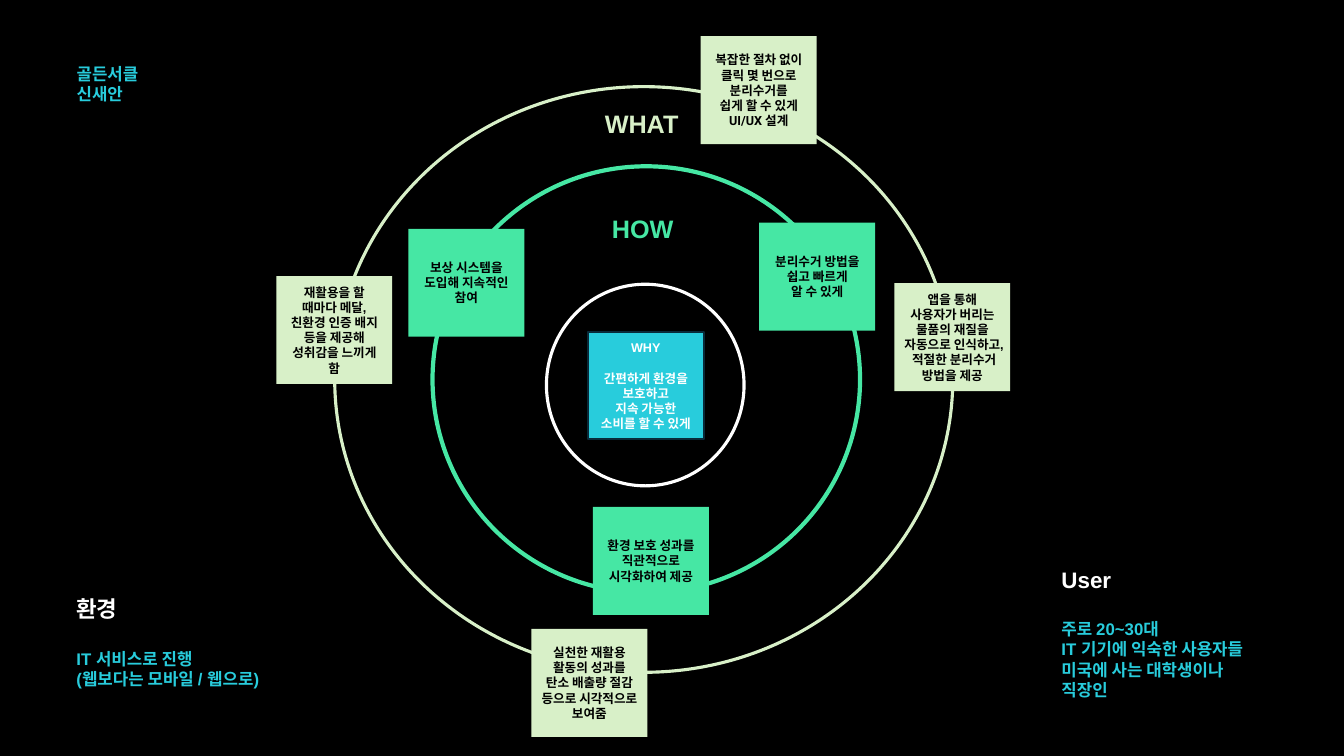
from pptx import Presentation
from pptx.dml.color import RGBColor
from pptx.enum.shapes import MSO_SHAPE
from pptx.enum.text import MSO_ANCHOR, MSO_AUTO_SIZE, PP_ALIGN
from pptx.util import Inches, Pt

OVAL, RECTANGLE = MSO_SHAPE.OVAL, MSO_SHAPE.RECTANGLE
TOP, MIDDLE = MSO_ANCHOR.TOP, MSO_ANCHOR.MIDDLE
LEFT, CENTER = PP_ALIGN.LEFT, PP_ALIGN.CENTER
NO_AUTO_SIZE = MSO_AUTO_SIZE.NONE
TITLE_ONLY = 5
NOTE_SIZE = (1.15, 1.07)

COLORS = {
    "black": "000000",
    "white": "FFFFFF",
    "cyan": "28CCDC",
    "navy": "092A39",
    "green": "46E7A4",
    "pale": "D8F0C8",
}

RINGS = [
    (3.32, 0.86, 6.13, 5.81, "pale", 2.25),
    (4.29, 1.65, 4.24, 4.23, "green", 3),
    (5.42, 2.82, 1.96, 2, "white", 2.25),
]

HOW_NOTES = [
    (7.53, 2.21, ["분리수거 방법을 쉽고 빠르게", "알 수 있게"]),
    (5.88, 5.03, ["환경 보호 성과를 직관적으로 시각화하여 제공"]),
    (4.05, 2.27, ["보상 시스템을 도입해 지속적인 참여"]),
]

WHAT_NOTES = [
    (2.74, 2.74, ["재활용을 할 때마다 메달, 친환경 인증 배지 등을 제공해 성취감을 느끼게 함"], "Arial"),
    (5.27, 6.24, ["실천한 재활용 활동의 성과를", "탄소 배출량 절감 등으로 시각적으로 보여줌"], "Arial"),
    (8.87, 2.81, ["앱을 통해 사용자가 버리는 물품의 재질을 자동으로 인식하고, 적절한 분리수거 방법을 제공"], "Arial"),
    (6.95, 0.36, ["복잡한 절차 없이 클릭 몇 번으로 분리수거를", "쉽게 할 수 있게 UI/UX 설계"], "Roboto"),
]


def color(name):
    return RGBColor.from_string(COLORS[name])


def write(shape, lines, size=12, ink="cyan", font="Arial", align=LEFT, anchor=TOP,
          head_size=None, head_ink=None, head_gap=0):
    """Fill a shape with bold lines; the head_ options set the first line apart."""
    frame = shape.text_frame
    frame.word_wrap = True
    frame.auto_size = NO_AUTO_SIZE
    frame.vertical_anchor = anchor
    for index, line in enumerate(lines):
        para = frame.add_paragraph() if index else frame.paragraphs[0]
        para.alignment = align
        para.line_spacing = 1.0
        para.space_before = Pt(head_gap if index == 1 else 0)
        span = para.add_run()
        span.text = line
        span.font.name = font
        span.font.bold = True
        span.font.size = Pt(size if index else head_size or size)
        span.font.color.rgb = color(ink if index else head_ink or ink)


def add_outline(page, kind, left, top, width, height, fill=None, line=None, weight=1):
    shape = page.shapes.add_shape(kind, Inches(left), Inches(top), Inches(width), Inches(height))
    shape.shadow.inherit = False
    if fill:
        shape.fill.solid()
        shape.fill.fore_color.rgb = color(fill)
    else:
        shape.fill.background()
    if line:
        shape.line.color.rgb = color(line)
        shape.line.width = Pt(weight)
    else:
        shape.line.fill.background()
    return shape


def add_note(page, left, top, lines, fill, ink="black", font="Arial", head_gap=0, **border):
    note = add_outline(page, RECTANGLE, left, top, *NOTE_SIZE, fill=fill, **border)
    write(note, lines, size=9, ink=ink, font=font, align=CENTER, anchor=MIDDLE, head_gap=head_gap)


def add_text(page, left, top, width, height, lines, **style):
    box = page.shapes.add_textbox(Inches(left), Inches(top), Inches(width), Inches(height))
    write(box, lines, **style)


def set_title(page, left, top, width, height, lines):
    title = page.shapes.title
    title.left, title.top = Inches(left), Inches(top)
    title.width, title.height = Inches(width), Inches(height)
    write(title, lines)


def main():
    deck = Presentation()
    deck.slide_width, deck.slide_height = Inches(13.33), Inches(7.5)
    page = deck.slides.add_slide(deck.slide_layouts[TITLE_ONLY])
    page.background.fill.solid()
    page.background.fill.fore_color.rgb = color("black")

    set_title(page, 0.66, 0.58, 2.05, 0.5, ["골든서클", "신새안"])

    for left, top, width, height, line, weight in RINGS:
        add_outline(page, OVAL, left, top, width, height, line=line, weight=weight)

    add_note(page, 5.83, 3.29, ["WHY", "간편하게 환경을 보호하고", "지속 가능한 소비를 할 수 있게"],
             "cyan", ink="white", head_gap=10.8, line="navy", weight=1.5)
    for left, top, lines in HOW_NOTES:
        add_note(page, left, top, lines, "green")
    for left, top, lines, font in WHAT_NOTES:
        add_note(page, left, top, lines, "pale", font=font)

    heading = {"head_size": 16, "head_ink": "white", "head_gap": 18.4}
    add_text(page, 10.43, 5.57, 2.24, 1.51,
             ["User", "주로 20~30대", "IT 기기에 익숙한 사용자들", "미국에 사는 대학생이나 직장인"], **heading)
    add_text(page, 0.66, 5.86, 3.43, 1.3,
             ["환경", "IT 서비스로 진행", "(웹보다는 모바일 / 웹으로)"], **heading)

    add_text(page, 5.97, 2.07, 0.95, 0.4, ["HOW"], size=18, ink="green")
    add_text(page, 5.9, 1.03, 0.95, 0.4, ["WHAT"], size=18, ink="pale")

    deck.save("out.pptx")


if __name__ == "__main__":
    main()
